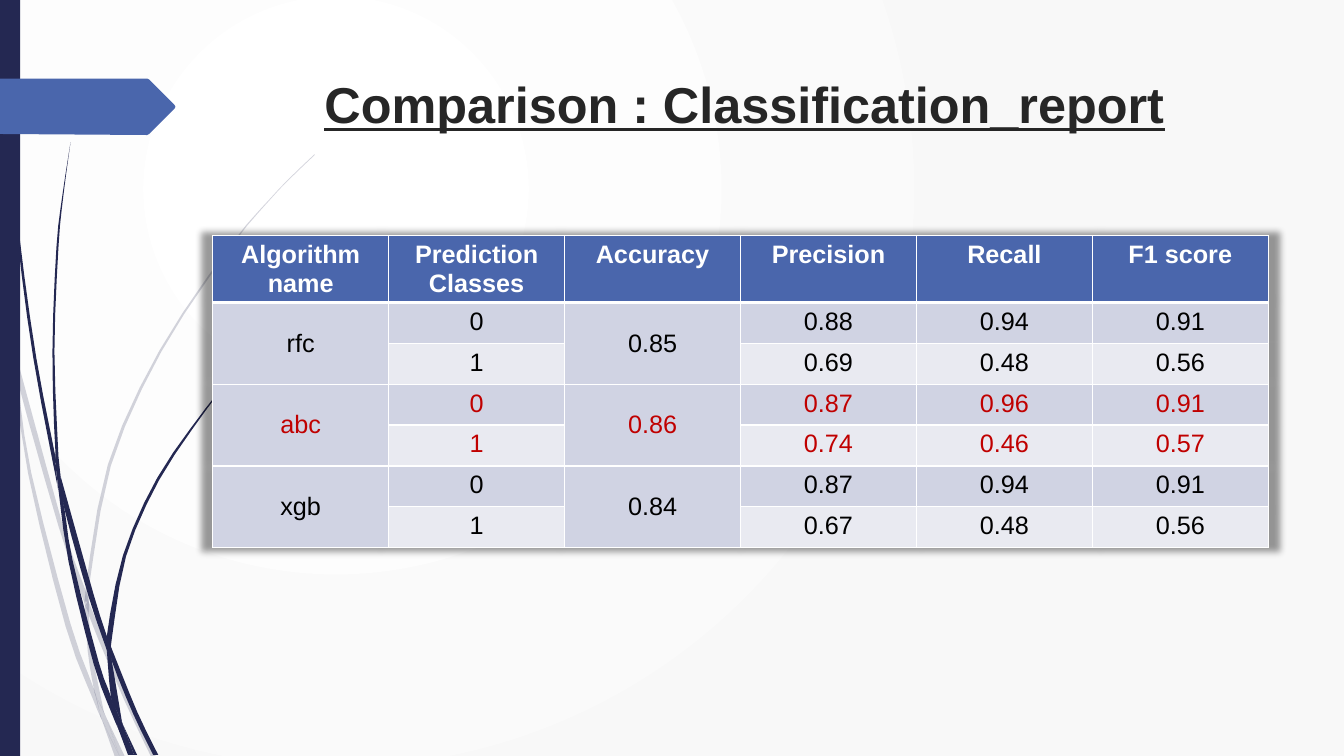
from dataclasses import dataclass

from lxml import etree
from pptx import Presentation
from pptx.dml.color import RGBColor
from pptx.enum.shapes import MSO_SHAPE as Preset
from pptx.enum.text import MSO_ANCHOR as Anchor, PP_ALIGN as Align
from pptx.oxml import parse_xml
from pptx.oxml.ns import nsdecls, qn
from pptx.util import Inches, Pt

TITLE = "Comparison : Classification_report"
HEADERS = ["Algorithm name", "Prediction Classes", "Accuracy",
           "Precision", "Recall", "F1 score"]
# algorithm, accuracy, then (class, precision, recall, F1) for each class
ALGORITHMS = [
    ("rfc", "0.85", [("0", "0.88", "0.94", "0.91"), ("1", "0.69", "0.48", "0.56")]),
    ("abc", "0.86", [("0", "0.87", "0.96", "0.91"), ("1", "0.74", "0.46", "0.57")]),
    ("xgb", "0.84", [("0", "0.87", "0.94", "0.91"), ("1", "0.67", "0.48", "0.56")]),
]
BEST = "abc"

# Grass segments: one edge down, the other edge back up, in inches
PALE_GRASS = [
    ([(0, 2.99), (.1, 3.44), (.11, 3.5)], [(.11, 3.5), (.09, 3.22), (0, 2.82)]),
    ([(.14, 3.45), (.17, 3.76), (.58, 5.22), (.84, 5.99)],
     [(.85, 5.86), (.62, 5.2), (.14, 3.45)]),
    ([(.88, 5.96), (.88, 6.1), (1.23, 6.94), (1.5, 7.51)],
     [(1.55, 7.51), (1.27, 6.92), (.92, 6.07), (.88, 5.96)]),
    ([(1.05, 7.11), (1.19, 7.51)], [(1.24, 7.51), (1.05, 7.11)]),
    ([(.11, 3.5), (.28, 4.7), (.65, 6.21), (.92, 6.93), (1.01, 7.14)],
     [(.99, 7.07), (.93, 6.83), (.7, 6.19), (.31, 4.69), (.17, 3.76), (.11, 3.5)]),
    ([(.84, 5.99), (.87, 6.46), (.93, 6.83), (.96, 6.92), (1.05, 7.11)],
     [(1.03, 7.06), (.91, 6.46), (.88, 6.1), (.84, 5.99)]),
    ([(3.12, 1.53), (2.89, 1.75), (2.68, 1.97), (2.28, 2.44), (1.58, 3.48),
      (1.07, 4.61), (.85, 5.84), (.88, 5.96)],
     [(.88, 5.84), (1.1, 4.62), (1.6, 3.49), (2.29, 2.45), (2.68, 1.98),
      (2.9, 1.75), (3.12, 1.54)]),
    ([(1.01, 7.14), (1.14, 7.51)], [(1.19, 7.51), (1.01, 7.14)]),
    ([(.85, 5.86), (.84, 5.99), (.88, 6.08)], [(.88, 6.1), (.88, 5.96), (.85, 5.86)]),
    ([(.93, 6.83), (.99, 7.07), (1.01, 7.14), (1.19, 7.51)],
     [(1.19, 7.51), (1.05, 7.11), (.96, 6.92), (.93, 6.83)]),
]
DARK_GRASS = [
    ([(.03, 0), (.04, .48), (.07, 1.1), (.17, 2.33), (.33, 3.55), (.56, 4.77), (.57, 4.81)],
     [(.55, 4.57), (.55, 4.53), (.36, 3.55), (.19, 2.32), (.08, 1.09), (.05, .48), (.04, 0)]),
    ([(.6, 4.72), (.64, 5.05), (.88, 5.92), (1.06, 6.45)],
     [(1.06, 6.31), (.93, 5.9), (.6, 4.72)]),
    ([(1.1, 6.41), (1.11, 6.56), (1.32, 7.08), (1.52, 7.49)],
     [(1.57, 7.49), (1.36, 7.06), (1.13, 6.49), (1.1, 6.41)]),
    ([(.57, 4.77), (.68, 5.57), (.93, 6.59), (1.11, 7.08), (1.17, 7.22)],
     [(1.16, 7.17), (1.1, 6.91), (.98, 6.57), (.72, 5.56), (.64, 5.05), (.57, 4.77)]),
    ([(.7, 1.41), (.62, 1.93), (.56, 2.45), (.52, 3.49), (.55, 4.49), (.6, 4.72)],
     [(.58, 4.53), (.54, 3.49), (.58, 2.45), (.63, 1.93), (.7, 1.41)]),
    ([(1.22, 7.19), (1.33, 7.49)], [(1.36, 7.49), (1.22, 7.19)]),
    ([(.55, 4.49), (.55, 4.53), (.57, 4.77), (.64, 5.05)], [(.6, 4.72), (.55, 4.49)]),
    ([(2.6, 3.44), (2.45, 3.58), (2.31, 3.73), (2.04, 4.05), (1.56, 4.74),
      (1.22, 5.51), (1.06, 6.31), (1.1, 6.41)],
     [(1.11, 6.33), (1.25, 5.52), (1.58, 4.76), (2.05, 4.06), (2.31, 3.74),
      (2.45, 3.59), (2.61, 3.44)]),
    ([(1.17, 7.22), (1.27, 7.49)], [(1.31, 7.49), (1.17, 7.22)]),
    ([(1.06, 6.45), (1.1, 6.91), (1.16, 7.06), (1.22, 7.19)],
     [(1.21, 7.16), (1.11, 6.56), (1.09, 6.51), (1.06, 6.45)]),
    ([(1.06, 6.31), (1.06, 6.45), (1.11, 6.56)], [(1.1, 6.41), (1.06, 6.31)]),
    ([(1.1, 6.91), (1.17, 7.22), (1.3, 7.49)],
     [(1.33, 7.49), (1.22, 7.19), (1.16, 7.06), (1.1, 6.91)]),
]
MARKER = [(0, .78), (1.46, .78), (1.48, .79), (1.73, 1.04), (1.74, 1.06),
          (1.73, 1.08), (1.48, 1.33), (1.46, 1.34), (0, 1.33)]


@dataclass(frozen=True)
class Theme:
    navy: str = "242852"
    blue: str = "4A66AC"
    white: str = "FFFFFF"
    black: str = "000000"
    red: str = "C00000"
    heading: str = "262626"
    bands: tuple = ("D0D3E3", "E9EAF1")
    backdrop: tuple = ("FFFFFF", "F8F8F8")
    font: str = "Arial"
    title_size: int = 36
    cell_size: int = 18


THEME = Theme()
SLIDE_W, SLIDE_H = 13.33, 7.5
TABLE_BOX = (2.11, 2.34, 10.47, 3.08)
HEADER_H, ROW_H = Pt(47), Pt(29.2)


def paint_backdrop(slide):
    slide.background.fill.solid()
    bg_pr = slide.background._cSld.bg.bgPr
    bg_pr.remove(bg_pr.find(qn("a:solidFill")))
    inner, outer = THEME.backdrop
    bg_pr.insert(0, parse_xml(
        f'<a:gradFill {nsdecls("a")} rotWithShape="1"><a:gsLst>'
        f'<a:gs pos="0"><a:srgbClr val="{inner}"/></a:gs>'
        f'<a:gs pos="100000"><a:srgbClr val="{outer}"/></a:gs></a:gsLst>'
        '<a:path path="circle"><a:fillToRect l="50000" t="50000" r="100000" b="100000"/>'
        '</a:path></a:gradFill>'))


def paint(shape, color, opacity=100):
    shape.shadow.inherit = False
    shape.fill.solid()
    shape.fill.fore_color.rgb = RGBColor.from_string(color)
    shape.line.fill.background()
    if opacity < 100:
        tint = shape.fill._xPr.find(qn("a:solidFill"))[0]
        etree.SubElement(tint, qn("a:alpha"), val=str(opacity * 1000))


def smooth(knots, steps=3):
    """Points of the Catmull-Rom curve through the knots."""
    if len(knots) == 2:
        return knots
    padded = [knots[0], *knots, knots[-1]]
    curve = [knots[0]]
    for a, b, c, d in zip(padded, padded[1:], padded[2:], padded[3:]):
        for t in (step / steps for step in range(1, steps + 1)):
            curve.append(tuple(
                (2 * q + (r - p) * t + (2 * p - 5 * q + 4 * r - s) * t ** 2
                 + (3 * q - p - 3 * r + s) * t ** 3) / 2
                for p, q, r, s in zip(a, b, c, d)))
    return curve


def add_outline(slide, outline, color, opacity=100):
    start, *rest = [(Inches(x), Inches(y)) for x, y in outline]
    pen = slide.shapes.build_freeform(*start)
    pen.add_line_segments(rest)
    paint(pen.convert_to_shape(), color, opacity)


def write(frame, text, size, color, bold):
    frame.text = text
    paragraph = frame.paragraphs[0]
    paragraph.alignment = Align.CENTER
    font = paragraph.runs[0].font
    font.name, font.size, font.bold = THEME.font, Pt(size), bold
    font.color.rgb = RGBColor.from_string(color)
    return font


def style_cell(cell, row):
    """Fill and white rules; the rule below the header is thicker."""
    tc_pr = cell._tc.get_or_add_tcPr()
    widths = {"L": 1, "R": 1, "T": 3 if row == 1 else 1, "B": 3 if row == 0 else 1}
    for side, width in widths.items():
        tc_pr.append(parse_xml(
            f'<a:ln{side} {nsdecls("a")} w="{Pt(width)}"><a:solidFill>'
            f'<a:srgbClr val="{THEME.white}"/></a:solidFill></a:ln{side}>'))
    cell.fill.solid()
    band = THEME.bands[(row - 1) % 2] if row else THEME.blue
    cell.fill.fore_color.rgb = RGBColor.from_string(band)


def add_report(slide):
    row_count = 1 + sum(len(classes) for _, _, classes in ALGORITHMS)
    table = slide.shapes.add_table(
        row_count, len(HEADERS), *map(Inches, TABLE_BOX)).table
    table._tbl.tblPr.insert(0, parse_xml(
        f'<a:effectLst {nsdecls("a")}><a:outerShdw blurRad="63500" sx="102000" '
        f'sy="102000" algn="ctr" rotWithShape="0"><a:srgbClr val="{THEME.black}">'
        '<a:alpha val="40000"/></a:srgbClr></a:outerShdw></a:effectLst>'))
    for index, row in enumerate(table.rows):
        row.height = ROW_H if index else HEADER_H
        for cell in row.cells:
            style_cell(cell, index)

    def put(row, column, text, color, bold=False):
        write(table.cell(row, column).text_frame, text, THEME.cell_size, color, bold)

    for column, header in enumerate(HEADERS):
        put(0, column, header, THEME.white, True)
    top = 1
    for name, accuracy, classes in ALGORITHMS:
        color = THEME.red if name == BEST else THEME.black
        bottom = top + len(classes) - 1
        for column, shared in ((0, name), (2, accuracy)):
            table.cell(top, column).merge(table.cell(bottom, column))
            table.cell(top, column).vertical_anchor = Anchor.MIDDLE
            put(top, column, shared, color)
        for row, scores in enumerate(classes, top):
            for column, score in zip((1, 3, 4, 5), scores):
                put(row, column, score, color)
        top = bottom + 1


deck = Presentation()
deck.slide_width, deck.slide_height = Inches(SLIDE_W), Inches(SLIDE_H)
slide = deck.slides.add_slide(deck.slide_layouts[6])
paint_backdrop(slide)
for grass, opacity in ((PALE_GRASS, 20), (DARK_GRASS, 100)):
    for down, up in grass:
        add_outline(slide, smooth(down) + smooth(up), THEME.navy, opacity)
paint(slide.shapes.add_shape(Preset.RECTANGLE, 0, 0, Inches(0.2), Inches(SLIDE_H)), THEME.navy)
add_outline(slide, MARKER, THEME.blue)
add_report(slide)
title = slide.shapes.add_textbox(*map(Inches, (2.19, 0.68, 10.39, 1.4))).text_frame
title.word_wrap = True
write(title, TITLE, THEME.title_size, THEME.heading, True).underline = True
deck.save("out.pptx")
